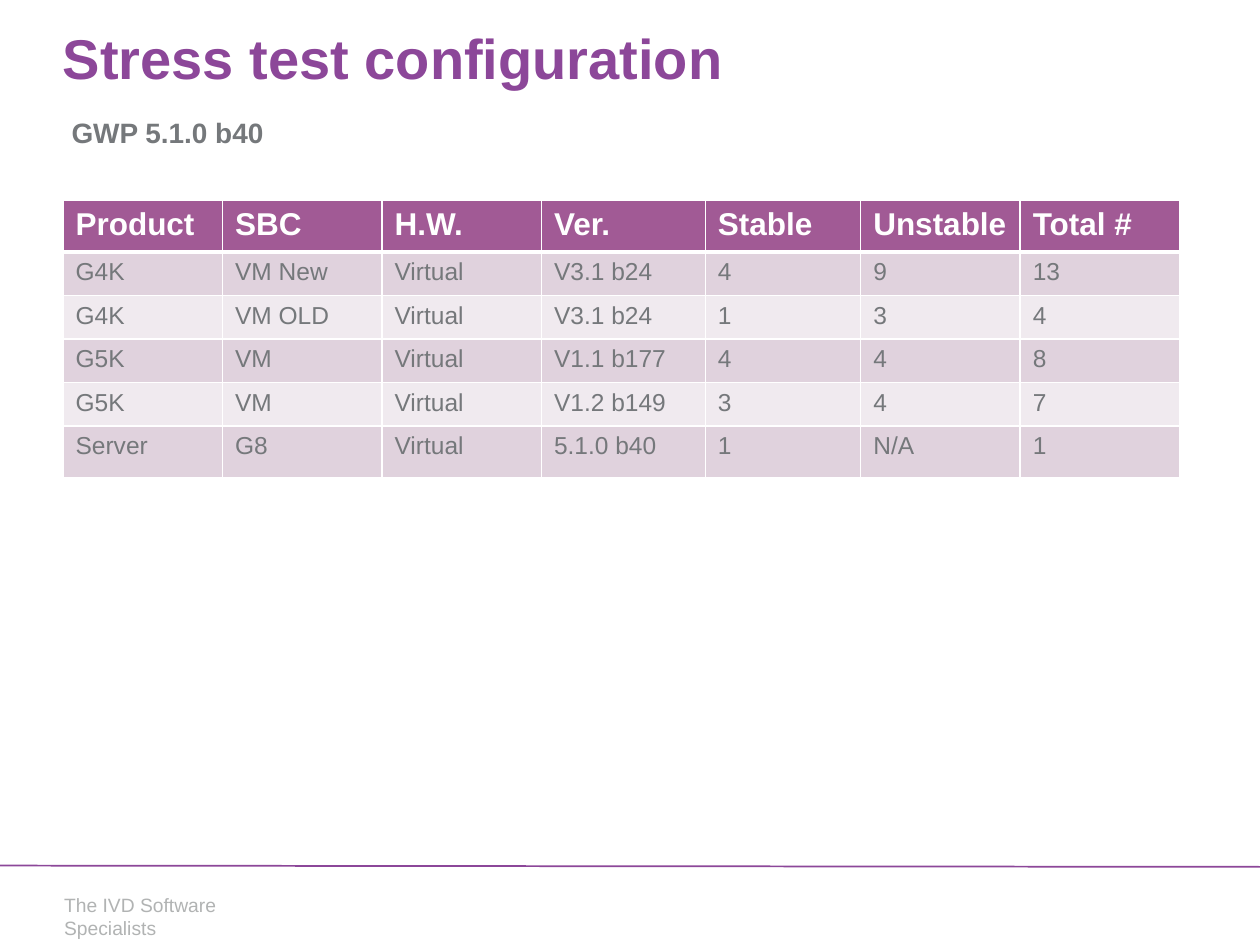
from lxml import etree
from pptx import Presentation
from pptx.dml.color import RGBColor
from pptx.enum.shapes import MSO_CONNECTOR
from pptx.oxml.ns import qn
from pptx.util import Inches, Pt

STRAIGHT = MSO_CONNECTOR.STRAIGHT
COLORS = {
    "purple": "8C4799", "header": "A15A95", "band": "E0D2DD",
    "light": "F0EAEF", "text": "75787B", "footer": "B1B3B3", "white": "FFFFFF",
}
COLUMN_WIDTHS = [12.66, 12.66, 12.66, 13.0, 12.34, 12.66, 12.66]
ROW_HEIGHTS = [4.1] + [3.46] * 4 + [4.1]
CONFIGURATIONS = [
    ["Product", "SBC", "H.W.", "Ver.", "Stable", "Unstable", "Total #"],
    ["G4K", "VM New", "Virtual", "V3.1 b24", "4", "9", "13"],
    ["G4K", "VM OLD", "Virtual", "V3.1 b24", "1", "3", "4"],
    ["G5K", "VM", "Virtual", "V1.1 b177", "4", "4", "8"],
    ["G5K", "VM", "Virtual", "V1.2 b149", "3", "4", "7"],
    ["Server", "G8", "Virtual", "5.1.0 b40", "1", "N/A", "1"],
]


def color(name):
    return RGBColor.from_string(COLORS[name])


class SlideBuilder:
    """Places elements on a grid of 100 columns by 75 rows."""

    font = "Arial"

    def __init__(self, presentation):
        self.cell = presentation.slide_width / 100
        self.slide = presentation.slides.add_slide(presentation.slide_layouts[6])

    def grid(self, *lengths):
        return [round(length * self.cell) for length in lengths]

    def style(self, run, size, color_name, bold=False):
        run.font.name = self.font
        run.font.size = Pt(size)
        run.font.bold = bold
        run.font.color.rgb = color(color_name)

    def text(self, place, pieces, color_name, bold=False, inset=None,
             before=0, wrap=True):
        frame = self.slide.shapes.add_textbox(*self.grid(*place)).text_frame
        frame.word_wrap = wrap
        if inset is not None:
            frame.margin_left = frame.margin_right = inset
            frame.margin_top = frame.margin_bottom = inset
        paragraph = frame.paragraphs[0]
        paragraph.space_before = Pt(before)
        for words, size in pieces:
            run = paragraph.add_run()
            run.text = words
            self.style(run, size, color_name, bold)

    def line(self, start, end, color_name, width):
        connector = self.slide.shapes.add_connector(
            STRAIGHT, *self.grid(*start, *end))
        connector.line.color.rgb = color(color_name)
        connector.line.width = Pt(width)
        etree.SubElement(connector._element.spPr, qn("a:effectLst"))

    def borders(self, cell, widths):
        properties = cell._tc.get_or_add_tcPr()
        for index, (side, width) in enumerate(widths.items()):
            border = etree.Element(qn(f"a:ln{side}"), w=str(Pt(width)))
            fill = etree.SubElement(border, qn("a:solidFill"))
            etree.SubElement(fill, qn("a:srgbClr"), val=COLORS["white"])
            properties.insert(index, border)

    def table(self, left, top, widths, heights, rows):
        place = self.grid(left, top, sum(widths), sum(heights))
        table = self.slide.shapes.add_table(
            len(rows), len(widths), *place).table
        for column, width in zip(table.columns, self.grid(*widths)):
            column.width = width
        for row, height in zip(table.rows, self.grid(*heights)):
            row.height = height
        for row_index, values in enumerate(rows):
            header = row_index == 0
            fill = "header" if header else "band" if row_index % 2 else "light"
            sides = {"L": 1, "R": 1, "T": 3 if row_index == 1 else 1,
                     "B": 3 if header else 1}
            for column_index, value in enumerate(values):
                cell = table.cell(row_index, column_index)
                cell.text_frame.text = value
                self.style(cell.text_frame.paragraphs[0].runs[0],
                           18 if header else 14,
                           "white" if header else "text", header)
                cell.fill.solid()
                cell.fill.fore_color.rgb = color(fill)
                self.borders(cell, sides)


def main():
    presentation = Presentation()
    presentation.slide_width = Inches(10)
    presentation.slide_height = Inches(7.5)
    builder = SlideBuilder(presentation)

    # Footer
    builder.text((4.1, 70.4, 21.8, 2.9),
                 [("The IVD Software Specialists", 11)], "footer", wrap=False)
    builder.line((0, 68.7), (100, 68.8), "purple", 1)

    # Title
    builder.text((5, 1.9, 90, 4.7), [("Stress test configuration", 32)],
                 "purple", bold=True, inset=0, before=3)

    # Configuration table
    builder.table(5, 15.9, COLUMN_WIDTHS, ROW_HEIGHTS, CONFIGURATIONS)

    # Subtitle
    builder.text((4.7, 7.6, 67, 3.6), [("GWP 5.1.0 b40", 16), (" ", 24)],
                 "text", bold=True, before=3)

    presentation.save("out.pptx")


if __name__ == "__main__":
    main()
